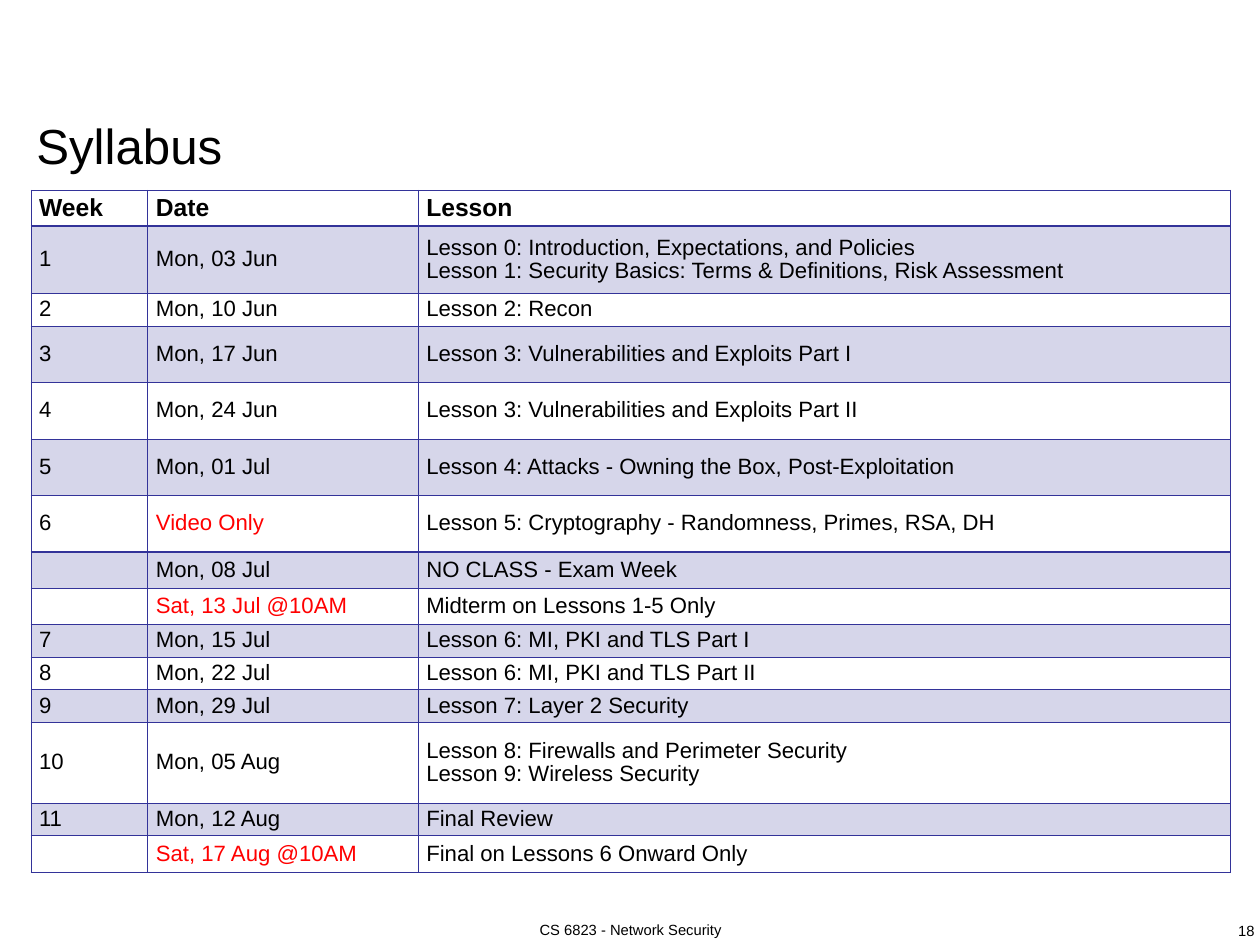
import pptx
import pptx.util
import pptx.dml.color
import pptx.enum.text
import pptx.oxml
import pptx.oxml.ns

Cm = pptx.util.Cm
Pt = pptx.util.Pt
ALIGN = pptx.enum.text.PP_ALIGN
ANCHOR = pptx.enum.text.MSO_ANCHOR

THEME = {
    "font": "Arial",
    "ink": "000000",
    "alert": "FF0000",
    "accent": "333399",
    "band_alpha": "20000",
    "title": 40,
    "header": 20,
    "body": 18,
    "footer": 12,
}


def write(tf, text, size, color=THEME["ink"], bold=False, align=ALIGN.LEFT, spacing=1.0):
    p = tf.paragraphs[0]
    p.alignment = align
    p.line_spacing = spacing
    for i, line in enumerate(text.split("\n") if text else []):
        if i:
            p.add_line_break()
        r = p.add_run()
        r.text = line
        r.font.name = THEME["font"]
        r.font.size = Pt(size)
        r.font.bold = bold
        r.font.color.rgb = pptx.dml.color.RGBColor.from_string(color)


def set_borders(cell, bottom):
    tcPr = cell._tc.get_or_add_tcPr()
    widths = {"lnL": 1, "lnR": 1, "lnT": 1, "lnB": bottom}
    for i, (side, width) in enumerate(widths.items()):
        tcPr.insert(i, pptx.oxml.parse_xml(
            f'<a:{side} {pptx.oxml.ns.nsdecls("a")} w="{Pt(width)}"><a:solidFill>'
            f'<a:srgbClr val="{THEME["accent"]}"/></a:solidFill></a:{side}>'))


prs = pptx.Presentation()
prs.slide_width, prs.slide_height = Cm(36.12), Cm(27.1)
s = prs.slides.add_slide(prs.slide_layouts[5])

title = s.shapes.title
title.left, title.top, title.width, title.height = Cm(0.89), Cm(2.51), Cm(34.39), Cm(2.64)
tf = title.text_frame
tf.auto_size = pptx.enum.text.MSO_AUTO_SIZE.NONE
tf.vertical_anchor = ANCHOR.BOTTOM
tf.margin_left = tf.margin_right = tf.margin_top = tf.margin_bottom = Cm(0.15)
write(tf, "Syllabus", THEME["title"])

HEADER, SHORT, MEDIUM, TALL, TALLEST = 1.03, 0.94, 1.62, 1.92, 2.31
schedule = [
    (HEADER, "Week", "Date", "Lesson"),
    (TALL, "1", "Mon, 03 Jun", "Lesson 0: Introduction, Expectations, and Policies\n"
     "Lesson 1: Security Basics: Terms & Definitions, Risk Assessment"),
    (SHORT, "2", "Mon, 10 Jun", "Lesson 2: Recon"),
    (MEDIUM, "3", "Mon, 17 Jun", "Lesson 3: Vulnerabilities and Exploits Part I"),
    (MEDIUM, "4", "Mon, 24 Jun", "Lesson 3: Vulnerabilities and Exploits Part II"),
    (MEDIUM, "5", "Mon, 01 Jul", "Lesson 4: Attacks - Owning the Box, Post-Exploitation"),
    (MEDIUM, "6", "Video Only", "Lesson 5: Cryptography - Randomness, Primes, RSA, DH"),
    (SHORT, "", "Mon, 08 Jul", "NO CLASS - Exam Week"),
    (SHORT, "", "Sat, 13 Jul @10AM", "Midterm on Lessons 1-5 Only"),
    (SHORT, "7", "Mon, 15 Jul", "Lesson 6: MI, PKI and TLS Part I"),
    (SHORT, "8", "Mon, 22 Jul", "Lesson 6: MI, PKI and TLS Part II"),
    (SHORT, "9", "Mon, 29 Jul", "Lesson 7: Layer 2 Security"),
    (TALLEST, "10", "Mon, 05 Aug", "Lesson 8: Firewalls and Perimeter Security\n"
     "Lesson 9: Wireless Security"),
    (SHORT, "11", "Mon, 12 Aug", "Final Review"),
    (SHORT, "", "Sat, 17 Aug @10AM", "Final on Lessons 6 Onward Only"),
]
col_widths = [3.35, 7.75, 23.29]
height = sum(row[0] for row in schedule)

table = s.shapes.add_table(len(schedule), len(col_widths), Cm(0.89), Cm(5.46),
                           Cm(sum(col_widths)), Cm(height)).table
table.first_row = table.horz_banding = False
for col, width in zip(table.columns, col_widths):
    col.width = Cm(width)

for i, (row_height, *texts) in enumerate(schedule):
    table.rows[i].height = Cm(row_height)
    for j, text in enumerate(texts):
        cell = table.cell(i, j)
        cell.vertical_anchor = ANCHOR.MIDDLE
        cell.margin_left = cell.margin_right = Cm(0.23)
        cell.margin_top = cell.margin_bottom = Cm(0.13)
        if i % 2:
            cell.fill.solid()
            cell.fill.fore_color.rgb = pptx.dml.color.RGBColor.from_string(THEME["accent"])
            clr = cell._tc.tcPr.find(".//" + pptx.oxml.ns.qn("a:srgbClr"))
            clr.append(pptx.oxml.parse_xml(
                f'<a:alpha {pptx.oxml.ns.nsdecls("a")} val="{THEME["band_alpha"]}"/>'))
        else:
            cell.fill.background()
        set_borders(cell, bottom=1 if i else 2)
        special = text.startswith(("Video", "Sat"))
        write(cell.text_frame, text, THEME["body" if i else "header"],
              color=THEME["alert" if special else "ink"], bold=i == 0, spacing=0.95)

for text, left, top, width in [
    ("CS 6823 - Network Security", 15.44, 26.26, 5.28),
    ("18", 35.36, 26.29, 0.74),
]:
    tf = s.shapes.add_textbox(Cm(left), Cm(top), Cm(width), Cm(0.79)).text_frame
    tf.word_wrap = False
    tf.vertical_anchor = ANCHOR.MIDDLE
    tf.margin_left = tf.margin_right = tf.margin_top = tf.margin_bottom = 0
    write(tf, text, THEME["footer"], align=ALIGN.CENTER)

prs.save("out.pptx")
